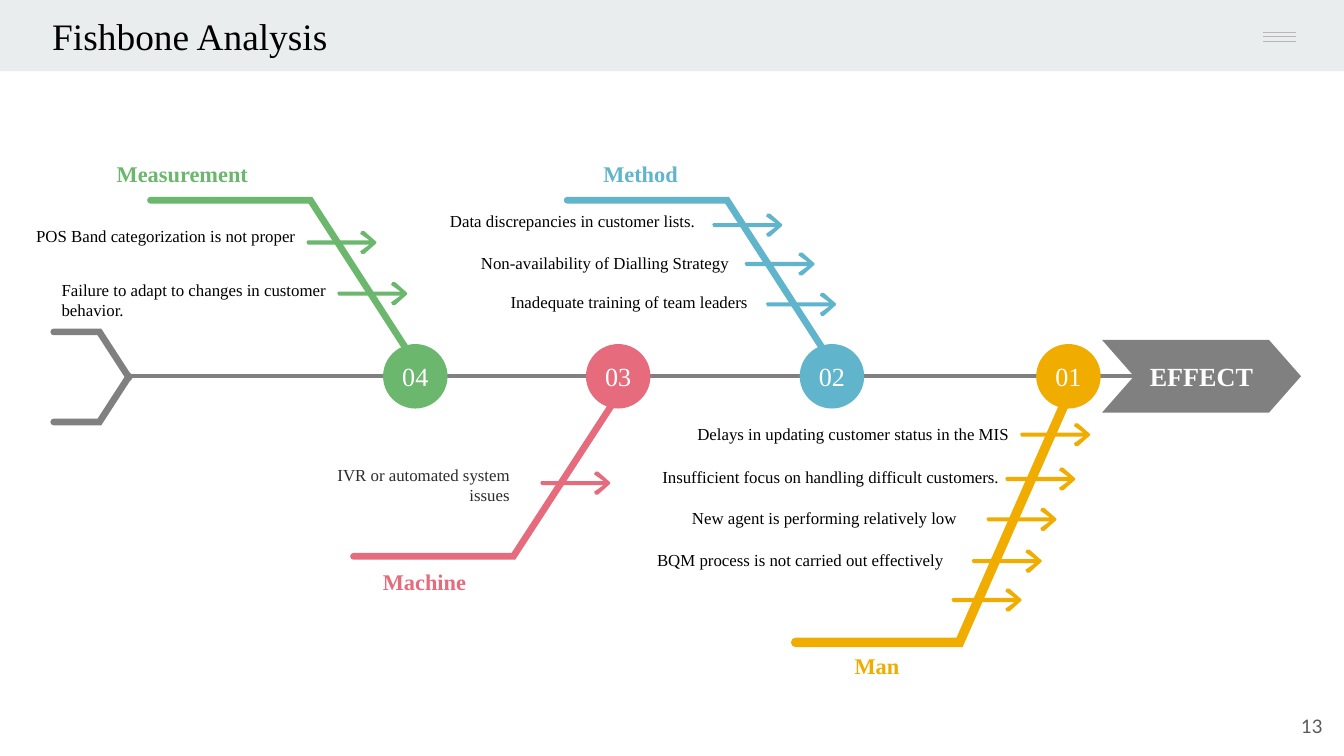
import math

import pptx
import pptx.dml.color
import pptx.enum.shapes
import pptx.enum.text
import pptx.oxml
import pptx.util
from pptx.util import Inches

RGB = pptx.dml.color.RGBColor
SHAPE = pptx.enum.shapes.MSO_SHAPE
ALIGN = pptx.enum.text.PP_ALIGN
ANCHOR = pptx.enum.text.MSO_ANCHOR

BLACK = RGB(0, 0, 0)
WHITE = RGB(0xFF, 0xFF, 0xFF)
BAND = RGB(0xE9, 0xED, 0xEE)
RULE = RGB(0xB7, 0xB7, 0xB7)
GRAY = RGB(0x80, 0x80, 0x80)
DARK = RGB(0x2C, 0x2C, 0x2C)
PAGE = RGB(0x59, 0x59, 0x59)
GREEN = RGB(0x6B, 0xB7, 0x6D)
BLUE = RGB(0x60, 0xB5, 0xCC)
RED = RGB(0xE6, 0x6C, 0x7D)
YELLOW = RGB(0xF0, 0xAD, 0x00)

SERIF = "Times New Roman"
SPINE_Y = 2.8
BONE = 0.05
CIRCLE = 0.48
ARROW = [(0.41, 0), (0.4, 0.02), (0.47, 0.07), (0.01, 0.07), (0, 0.08),
         (0.01, 0.1), (0.47, 0.1), (0.4, 0.15), (0.41, 0.17), (0.43, 0.17),
         (0.52, 0.09), (0.52, 0.08), (0.43, 0)]

# number, colour, bone points, bone width, circle centre, arrow positions
CAUSES = [
    ("04", GREEN, [(1.12, 1.49), (2.31, 1.49), (3.09, 2.7)], BONE, 3.09,
     [(2.28, 1.72), (2.51, 2.1)]),
    ("02", BLUE, [(4.22, 1.49), (5.41, 1.49), (6.19, 2.7)], BONE, 6.19,
     [(5.3, 1.59), (5.54, 1.88), (5.7, 2.18)]),
    ("03", RED, [(4.6, 2.94), (3.82, 4.14), (2.63, 4.14)], BONE, 4.6,
     [(4.02, 3.51)]),
    ("01", YELLOW, [(7.95, 2.94), (7.14, 4.78), (5.92, 4.78)], 0.07, 7.95,
     [(7.59, 3.15), (7.48, 3.48), (7.34, 3.78), (7.23, 4.09), (7.08, 4.38)]),
]
HEADINGS = [
    ("Measurement", GREEN, 0.77, 1.05, 1.51, ALIGN.LEFT),
    ("Method", BLUE, 4.39, 1.05, 1.01, ALIGN.LEFT),
    ("Machine", RED, 2.75, 4.09, 1.09, ALIGN.LEFT),
    ("Man", YELLOW, 5.98, 4.71, 1.09, ALIGN.CENTER),
]
REASONS = [
    ("Data discrepancies in customer lists.", 3.25, 1.52, 2.66, 0.25),
    ("Non-availability of Dialling Strategy", 3.48, 1.83, 2.49, 0.25),
    ("Inadequate training of team leaders", 3.7, 2.12, 2.62, 0.25),
    ("Delays in updating customer status in the MIS", 5.09, 3.1, 3.25, 0.25),
    ("Insufficient focus on handling difficult customers.",
     4.83, 3.42, 2.94, 0.25),
    ("New agent is performing relatively low", 5.05, 3.73, 2.75, 0.25),
    ("BQM process is not carried out effectively", 4.79, 4.04, 2.92, 0.25),
    ("POS Band categorization is not proper", 0.17, 1.63, 2.29, 0.25),
    ("Failure to adapt to changes in customer behavior.",
     0.36, 2.03, 2.31, 0.4),
]


def write(shape, text, size, color, bold=False, align=ALIGN.LEFT,
          anchor=ANCHOR.MIDDLE, font=SERIF, side=0.1, inset=0.1):
    tf = shape.text_frame
    tf.word_wrap = True
    tf.vertical_anchor = anchor
    tf.margin_left = tf.margin_right = Inches(side)
    tf.margin_top = tf.margin_bottom = Inches(inset)
    tf.text = text
    p = tf.paragraphs[0]
    p.alignment = align
    r = p.runs[0]
    r.font.name = font
    r.font.size = pptx.util.Pt(size)
    r.font.bold = bold
    r.font.color.rgb = color


def add_label(s, text, x, y, w, h, size, color, **style):
    box = s.shapes.add_textbox(Inches(x), Inches(y), Inches(w), Inches(h))
    write(box, text, size, color, **style)


def paint(shape, color):
    shape.shadow.inherit = False
    shape.fill.solid()
    shape.fill.fore_color.rgb = color
    shape.line.fill.background()


def add_preset(s, kind, x, y, w, h, color):
    sp = s.shapes.add_shape(kind, Inches(x), Inches(y), Inches(w), Inches(h))
    paint(sp, color)
    return sp


def add_line(s, x1, x2, y, color, width):
    line = s.shapes.add_connector(
        pptx.enum.shapes.MSO_CONNECTOR.STRAIGHT,
        Inches(x1), Inches(y), Inches(x2), Inches(y))
    line.line.color.rgb = color
    line.line.width = pptx.util.Pt(width)
    line._element.spPr.append(pptx.oxml.parse_xml(
        '<a:effectLst xmlns:a='
        '"http://schemas.openxmlformats.org/drawingml/2006/main"/>'))


def add_polygon(s, points, color):
    pts = [(Inches(x), Inches(y)) for x, y in points]
    fb = s.shapes.build_freeform(*pts[0])
    fb.add_line_segments(pts[1:], close=True)
    paint(fb.convert_to_shape(), color)


def half_outline(points, radius):
    """One side of a thick path, followed by the round cap at its end."""
    angles = [math.atan2(y2 - y1, x2 - x1)
              for (x1, y1), (x2, y2) in zip(points, points[1:])]
    edge = []
    for (x, y), a, b in zip(points[1:], angles, angles[1:]):
        reach = radius / (1 + math.cos(a - b))
        edge.append((x - reach * (math.sin(a) + math.sin(b)),
                     y + reach * (math.cos(a) + math.cos(b))))
    x, y = points[-1]
    for turn in (90, 45, 0, -45, -90):
        a = angles[-1] + math.radians(turn)
        edge.append((x + radius * math.cos(a), y + radius * math.sin(a)))
    return edge


def add_bone(s, points, width, color):
    outline = (half_outline(points, width / 2)
               + half_outline(points[::-1], width / 2))
    add_polygon(s, outline, color)


def add_cause(s, number, color, points, width, center, arrows):
    add_bone(s, points, width, color)
    for x, y in arrows:
        add_polygon(s, [(x + dx, y + dy) for dx, dy in ARROW], color)
    circle = add_preset(s, SHAPE.OVAL, center - CIRCLE / 2,
                        SPINE_Y - CIRCLE / 2, CIRCLE, CIRCLE, color)
    write(circle, number, 14, WHITE, align=ALIGN.CENTER, side=0)


def add_header(s):
    add_preset(s, SHAPE.RECTANGLE, 0, 0, 10, 0.53, BAND)
    add_preset(s, SHAPE.RECTANGLE, 9.06, 0, 0.94, 0.5, BAND)
    for y in (0.24, 0.27, 0.31):
        add_line(s, 9.4, 9.64, y, RULE, 0.75)
    add_label(s, "Fishbone Analysis", 0.29, 0, 5.05, 0.53, 20, BLACK,
              anchor=ANCHOR.TOP)


def add_spine(s):
    add_line(s, 8.56, 0.97, SPINE_Y, GRAY, 2.25)
    head = add_preset(s, SHAPE.CHEVRON, 8.2, 2.53, 1.48, 0.54, GRAY)
    head.adjustments[0] = 0.44
    write(head, "EFFECT", 14, WHITE, bold=True, align=ALIGN.CENTER)
    for y, tip in ((2.47, 2.81), (3.14, 2.8)):
        add_bone(s, [(0.4, y), (0.74, y), (0.96, tip)], BONE, GRAY)


def main():
    prs = pptx.Presentation()
    prs.slide_width, prs.slide_height = Inches(10), Inches(10 * 9 / 16)
    s = prs.slides.add_slide(prs.slide_layouts[6])
    add_header(s)
    add_spine(s)
    for cause in CAUSES:
        add_cause(s, *cause)
    for text, color, x, y, w, align in HEADINGS:
        add_label(s, text, x, y, w, 0.48, 12, color, bold=True, align=align)
    for text, x, y, w, h in REASONS:
        add_label(s, text, x, y, w, h, 9, BLACK, anchor=ANCHOR.TOP, inset=0.05)
    add_label(s, "IVR or automated system issues", 2.25, 3.46, 1.64, 0.3,
              9, DARK, align=ALIGN.RIGHT)
    add_label(s, "13", 9.34, 5.19, 0.6, 0.43, 10, PAGE, align=ALIGN.RIGHT,
              font="Lato")
    prs.save("out.pptx")


if __name__ == "__main__":
    main()
